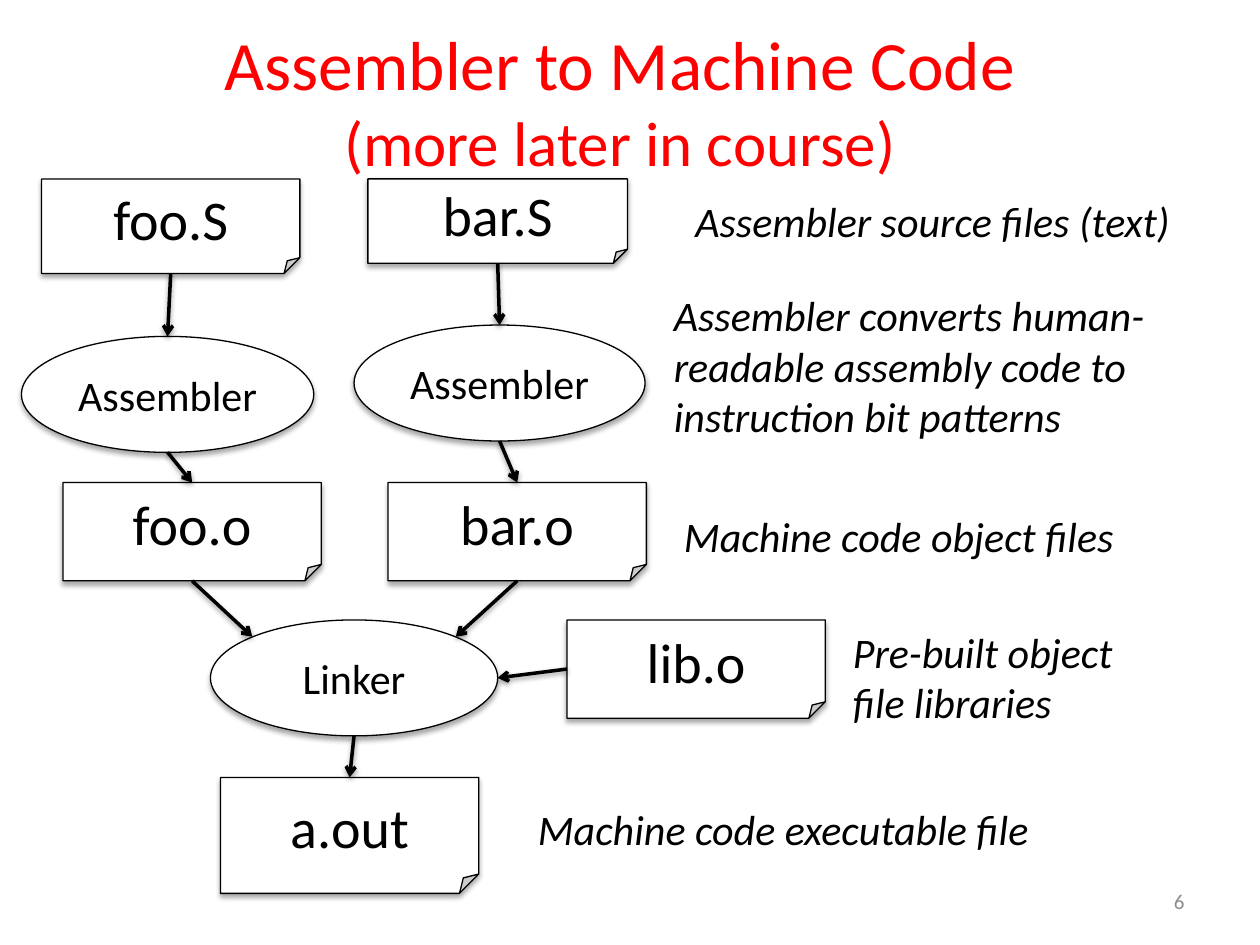
"""Builds a slide showing how assembler sources become an executable."""
from lxml.etree import fromstring
from pptx import Presentation
from pptx.dml.color import RGBColor
from pptx.enum.shapes import MSO_CONNECTOR as CONN, MSO_SHAPE as SHAPE
from pptx.enum.text import MSO_ANCHOR as ANCHOR, MSO_AUTO_SIZE as FIT, PP_ALIGN as ALIGN
from pptx.util import Inches, Pt

A = 'xmlns:a="http://schemas.openxmlformats.org/drawingml/2006/main"'
SHADOW = (
    '<a:effectLst {ns}><a:outerShdw blurRad="39400" dist="{dist}" dir="5400000" '
    'rotWithShape="0"><a:srgbClr val="000000"><a:alpha val="{alpha}"/></a:srgbClr>'
    '</a:outerShdw></a:effectLst>'
)
ARROWHEAD = f'<a:tailEnd {A} type="arrow"/>'


def rgb(value):
    return RGBColor.from_string(value)


def add_text(paragraph, text, color="000000", **formats):
    run = paragraph.add_run()
    run.text = text
    run.font.color.rgb = rgb(color)
    for name, value in {"name": "Calibri", **formats}.items():
        setattr(run.font, name, value)


prs = Presentation()
prs.slide_width, prs.slide_height = Inches(10), Inches(7.5)
slide = prs.slides.add_slide(prs.slide_layouts[5])
shapes = slide.shapes

title = shapes.title
title_box = {"left": 0.42, "top": 0.17, "width": 9, "height": 1.25}
for name, value in title_box.items():
    setattr(title, name, Inches(value))
title.text_frame.auto_size = FIT.NONE
title.text_frame.vertical_anchor = ANCHOR.MIDDLE
heading = title.text_frame.paragraphs[0]
heading.alignment = ALIGN.CENTER
add_text(heading, "Assembler to Machine Code", "FF0000", size=Pt(39.6))
heading.add_line_break()
add_text(heading, "(more later in course)", "FF0000", size=Pt(36))

FILE, TOOL = (SHAPE.FOLDED_CORNER, 32), (SHAPE.OVAL, 24)
stages = {
    "foo source": ("foo.S", FILE, 0.33, 1.42, 2.05, 0.75),
    "bar source": ("bar.S", FILE, 2.92, 1.42, 2.06, 0.67),
    "foo assembler": ("Assembler", TOOL, 0.17, 2.67, 2.32, 0.92),
    "bar assembler": ("Assembler", TOOL, 2.81, 2.58, 2.31, 0.92),
    "foo object": ("foo.o", FILE, 0.5, 3.83, 2.05, 0.78),
    "bar object": ("bar.o", FILE, 3.08, 3.83, 2.05, 0.78),
    "linker": ("Linker", TOOL, 1.67, 4.92, 2.28, 0.92),
    "library": ("lib.o", FILE, 4.5, 4.92, 2.05, 0.78),
    "executable": ("a.out", FILE, 1.75, 6.17, 2.05, 0.92),
}
nodes = {}
for key, (label, (outline, size), *box) in stages.items():
    node = nodes[key] = shapes.add_shape(outline, *map(Inches, box))
    node.fill.solid()
    node.fill.fore_color.rgb = rgb("FFFFFF")
    node.line.color.rgb = rgb("000000")
    node.line.width = Pt(0.75)
    node._element.spPr.append(fromstring(SHADOW.format(ns=A, dist=23000, alpha=35000)))
    node.text_frame.vertical_anchor = ANCHOR.MIDDLE
    caption = node.text_frame.paragraphs[0]
    caption.alignment = ALIGN.CENTER
    add_text(caption, label, size=Pt(size))

TOP, BOTTOM, LEFT, RIGHT = (0.5, 0), (0.5, 1), (0, 0.5), (1, 0.5)
UPPER_LEFT, UPPER_RIGHT = (0.146, 0.146), (0.854, 0.146)
flows = [
    ("foo source", BOTTOM, "foo assembler", TOP),
    ("bar source", BOTTOM, "bar assembler", TOP),
    ("foo assembler", BOTTOM, "foo object", TOP),
    ("bar assembler", BOTTOM, "bar object", TOP),
    ("foo object", BOTTOM, "linker", UPPER_LEFT),
    ("bar object", BOTTOM, "linker", UPPER_RIGHT),
    ("library", LEFT, "linker", RIGHT),
    ("linker", BOTTOM, "executable", TOP),
]
for source, exit_side, target, entry_side in flows:
    ends = []
    for key, (across, down) in ((source, exit_side), (target, entry_side)):
        node = nodes[key]
        ends += [int(node.left + across * node.width), int(node.top + down * node.height)]
    arrow = shapes.add_connector(CONN.STRAIGHT, *ends)
    arrow.line.color.rgb = rgb("000000")
    arrow.line.width = Pt(2)
    arrow.line._get_or_add_ln().append(fromstring(ARROWHEAD))
    arrow._element.spPr.append(fromstring(SHADOW.format(ns=A, dist=20000, alpha=38000)))

notes = [
    ("Assembler source files (text)", False, 5.42, 1.5, 4.08, 0.5),
    ("Assembler converts human-readable assembly code to instruction bit patterns",
     True, 5.25, 2.25, 4, 1.31),
    ("Machine code object files", False, 5.33, 4, 3.73, 0.5),
    ("Pre-built object file libraries", True, 6.67, 4.92, 2.48, 0.91),
    ("Machine code executable file", False, 4.17, 6.33, 4.24, 0.5),
]
for remark, wraps, *box in notes:
    frame = shapes.add_textbox(*map(Inches, box)).text_frame
    frame.word_wrap = wraps
    frame.auto_size = FIT.SHAPE_TO_FIT_TEXT
    add_text(frame.paragraphs[0], remark, size=Pt(24), italic=True)

page_frame = shapes.add_textbox(*map(Inches, (7.17, 6.95, 2.33, 0.4))).text_frame
page_frame.word_wrap = True
page_frame.vertical_anchor = ANCHOR.MIDDLE
page_number = page_frame.paragraphs[0]
page_number.alignment = ALIGN.RIGHT
add_text(page_number, "6", "8C8C8C", size=Pt(12))

prs.save("out.pptx")
